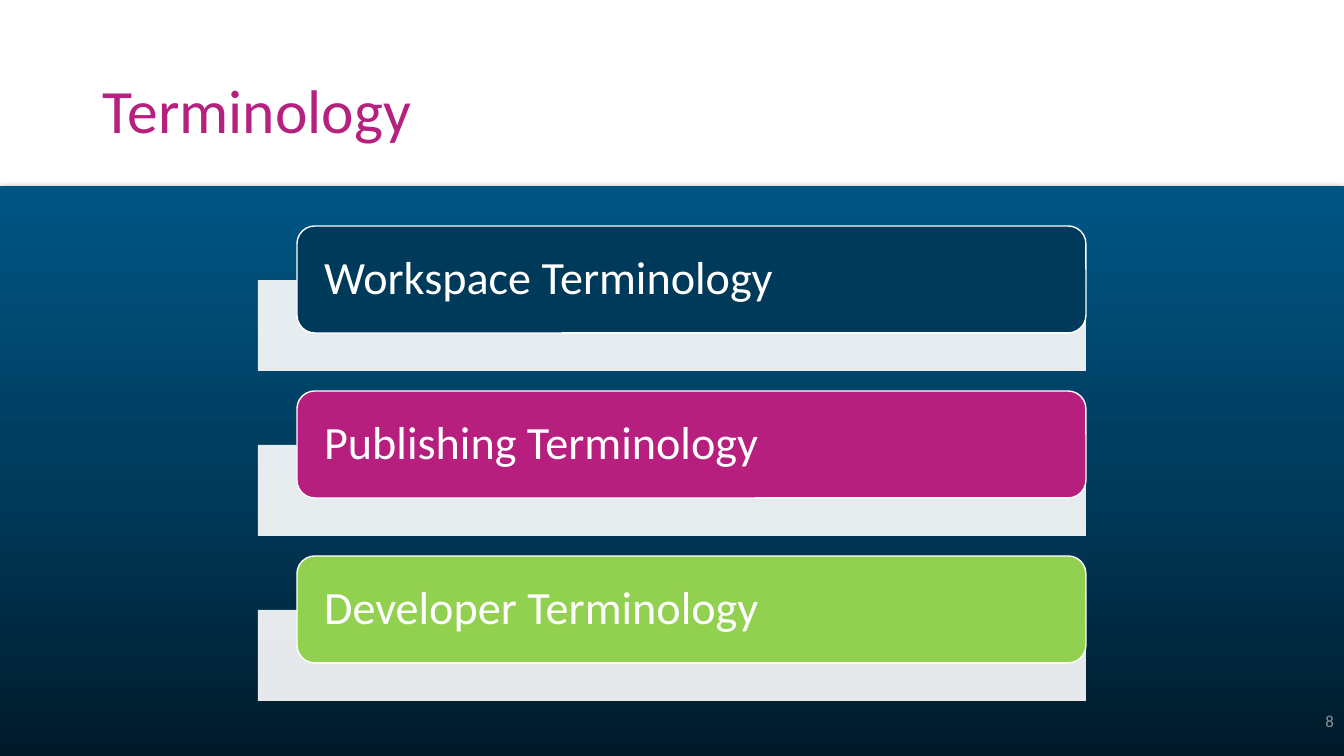
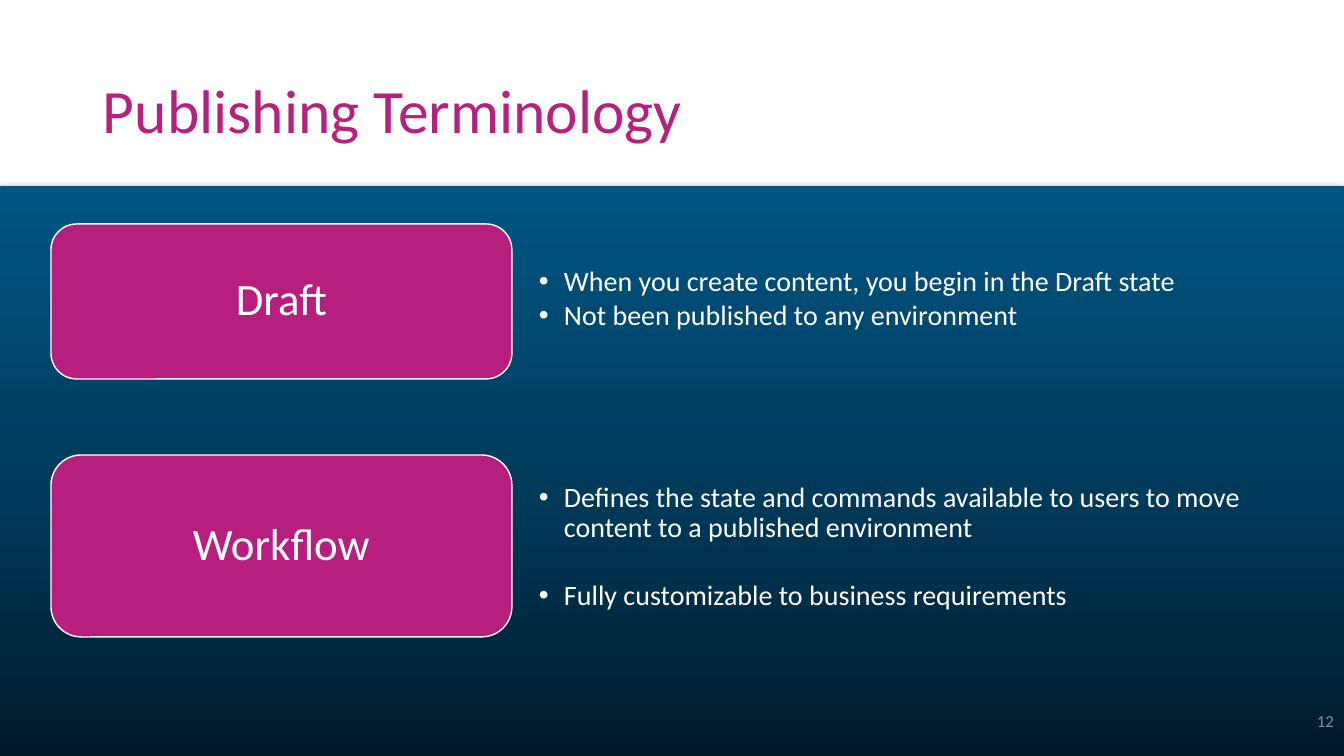
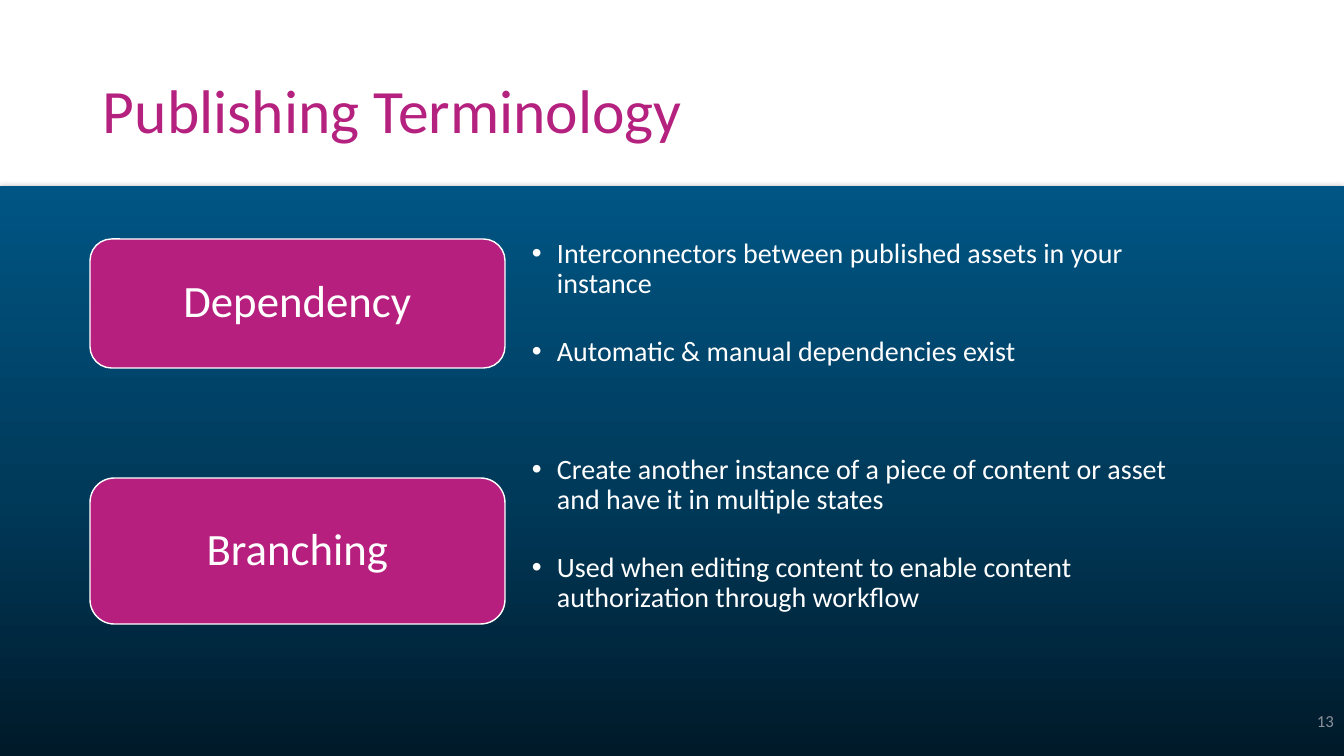
from pptx import Presentation
from pptx.dml.color import RGBColor
from pptx.enum.shapes import MSO_SHAPE
from pptx.enum.text import MSO_ANCHOR, MSO_AUTO_SIZE, PP_ALIGN
from pptx.oxml import parse_xml
from pptx.oxml.ns import nsdecls, qn
from pptx.util import Pt

RECT, ROUND = MSO_SHAPE.RECTANGLE, MSO_SHAPE.ROUNDED_RECTANGLE
LEFT, CENTER, RIGHT = PP_ALIGN.LEFT, PP_ALIGN.CENTER, PP_ALIGN.RIGHT
MIDDLE, NO_FIT = MSO_ANCHOR.MIDDLE, MSO_AUTO_SIZE.NONE

EMU_PER_PX = 914400 / 100.8
WIDTH, HEIGHT = 1344, 756
BAND_TOP = 186
TITLE_ONLY, TWO_CONTENT = 5, 3
FONT = "Calibri"
COLORS = {
    "white": "FFFFFF",
    "title": "B5217E",
    "magenta": "B61F7E",
    "navy": "003A5A",
    "green": "92D050",
    "number": "8C919B",
    "shadow": "000000",
}
BAND_STOPS = [(0, "005584"), (54, "003A5A"), (100, "001A2A")]


def px(n):
    return round(n * EMU_PER_PX)


class Deck:
    """Holds the style and the current slide."""

    def __init__(self):
        self.prs = Presentation()
        self.prs.slide_width, self.prs.slide_height = px(WIDTH), px(HEIGHT)
        self.s = None

    def color(self, name):
        return RGBColor.from_string(COLORS[name])

    def place(self, shape, x, y, w, h):
        shape.left, shape.top, shape.width, shape.height = map(px, (x, y, w, h))

    def frame(self, shape, inset_x, inset_y):
        tf = shape.text_frame
        tf.word_wrap, tf.auto_size = True, NO_FIT
        tf.vertical_anchor = MIDDLE
        tf.margin_left = tf.margin_right = px(inset_x)
        tf.margin_top = tf.margin_bottom = px(inset_y)
        return tf

    def style(self, p, size, color, align=LEFT, spacing=0.9):
        p.alignment, p.line_spacing = align, spacing
        p.font.name, p.font.size = FONT, Pt(size)
        p.font.color.rgb = self.color(color)

    def slide(self, title, number, layout):
        self.s = self.prs.slides.add_slide(self.prs.slide_layouts[layout])
        self.band()
        # Title
        sp = self.s.shapes.title
        self.place(sp, 93, 41, 1159, 146)
        tf = self.frame(sp, 10, 5)
        tf.text = title
        self.style(tf.paragraphs[0], 44, "title")
        # Page number
        sp = self.s.shapes.add_textbox(*map(px, (1041, 701, 303, 40)))
        tf = self.frame(sp, 10, 5)
        tf.text = str(number)
        self.style(tf.paragraphs[0], 12, "number", RIGHT, 1.0)

    def shape(self, kind, x, y, w, h, fill, line=None):
        sp = self.s.shapes.add_shape(kind, *map(px, (x, y, w, h)))
        sp.shadow.inherit = False
        sp.fill.solid()
        sp.fill.fore_color.rgb = self.color(fill)
        if line:
            sp.line.color.rgb = self.color(line)
            sp.line.width = Pt(1)
        else:
            sp.line.fill.background()
        return sp

    def band(self):
        sp = self.shape(RECT, 0, BAND_TOP, WIDTH, HEIGHT - BAND_TOP, "navy")
        spPr = sp._element.spPr
        stops = "".join(
            f'<a:gs pos="{pos * 1000}"><a:srgbClr val="{rgb}"/></a:gs>'
            for pos, rgb in BAND_STOPS)
        spPr.replace(spPr.find(qn("a:solidFill")), parse_xml(
            f'<a:gradFill {nsdecls("a")} rotWithShape="1"><a:gsLst>{stops}</a:gsLst>'
            '<a:lin ang="5400000" scaled="0"/></a:gradFill>'))
        spPr.find(qn("a:effectLst")).append(parse_xml(
            f'<a:outerShdw {nsdecls("a")} blurRad="{Pt(4.5)}" dist="{Pt(1.5)}" '
            f'dir="5400000" rotWithShape="0"><a:srgbClr val="{COLORS["shadow"]}">'
            '<a:alpha val="37000"/></a:srgbClr></a:outerShdw>'))
        # Send behind the placeholders
        self.s.shapes.element.insert(2, sp._element)

    def strip(self, x, y, w, h):
        sp = self.shape(RECT, x, y, w, h, "white")
        rgb = sp._element.spPr.find(qn("a:solidFill"))[0]
        rgb.append(parse_xml(f'<a:alpha {nsdecls("a")} val="90000"/>'))

    def card(self, text, x, y, w, h, fill, size=32, align=CENTER, inset_x=13):
        sp = self.shape(ROUND, x, y, w, h, fill, "white")
        tf = self.frame(sp, inset_x, 0)
        tf.text = text
        self.style(tf.paragraphs[0], size, "white", align)

    def bullets(self, idx, items, x, y, w, h, gap):
        sp = self.s.placeholders[idx]
        self.place(sp, x, y, w, h)
        tf = self.frame(sp, 27, 14)
        tf.text = "\n".join(items)
        for i, p in enumerate(tf.paragraphs):
            pPr = p._p.get_or_add_pPr()
            pPr.set("marL", str(px(25)))
            pPr.set("indent", str(-px(25)))
            p.space_before = Pt(gap if i else 0)
            p.space_after = Pt(2.5)
            self.style(p, 20, "white")


def main():
    deck = Deck()

    # Overview: three headings over pale strips
    deck.slide("Terminology", 8, TITLE_ONLY)
    headings = [("Workspace Terminology", "navy"),
                ("Publishing Terminology", "magenta"),
                ("Developer Terminology", "green")]
    for i, (text, fill) in enumerate(headings):
        top = 226 + 165 * i
        deck.strip(258, top + 54, 828, 91)
        deck.card(text, 297, top, 789, 107, fill, 33, LEFT, 22)

    # Term slides: (number, card x and width, list x and width, rows)
    # Row: term, card top and height, list top, gap between bullets, bullets
    term_slides = [
        (12, (51, 461), (512, 808), [
            ("Draft", 224, 155, 194, 0,
             ["When you create content, you begin in the Draft state",
              "Not been published to any environment"]),
            ("Workflow", 455, 182, 442, 24.5,
             ["Defines the state and commands available to users to move "
              "content to a published environment",
              "Fully customizable to business requirements"]),
        ]),
        (13, (90, 415), (505, 727), [
            ("Dependency", 239, 129, 198, 24.5,
             ["Interconnectors between published assets in your instance",
              "Automatic & manual dependencies exist"]),
            ("Branching", 478, 146, 429, 24.5,
             ["Create another instance of a piece of content or asset "
              "and have it in multiple states",
              "Used when editing content to enable content "
              "authorization through workflow"]),
        ]),
    ]
    for number, (card_x, card_w), (list_x, list_w), rows in term_slides:
        deck.slide("Publishing Terminology", number, TWO_CONTENT)
        for idx, (term, top, height, list_top, gap, items) in enumerate(rows, 1):
            deck.bullets(idx, items, list_x, list_top, list_w, 211, gap)
            deck.card(term, card_x, top, card_w, height, "magenta")

    deck.prs.save("out.pptx")


if __name__ == "__main__":
    main()
